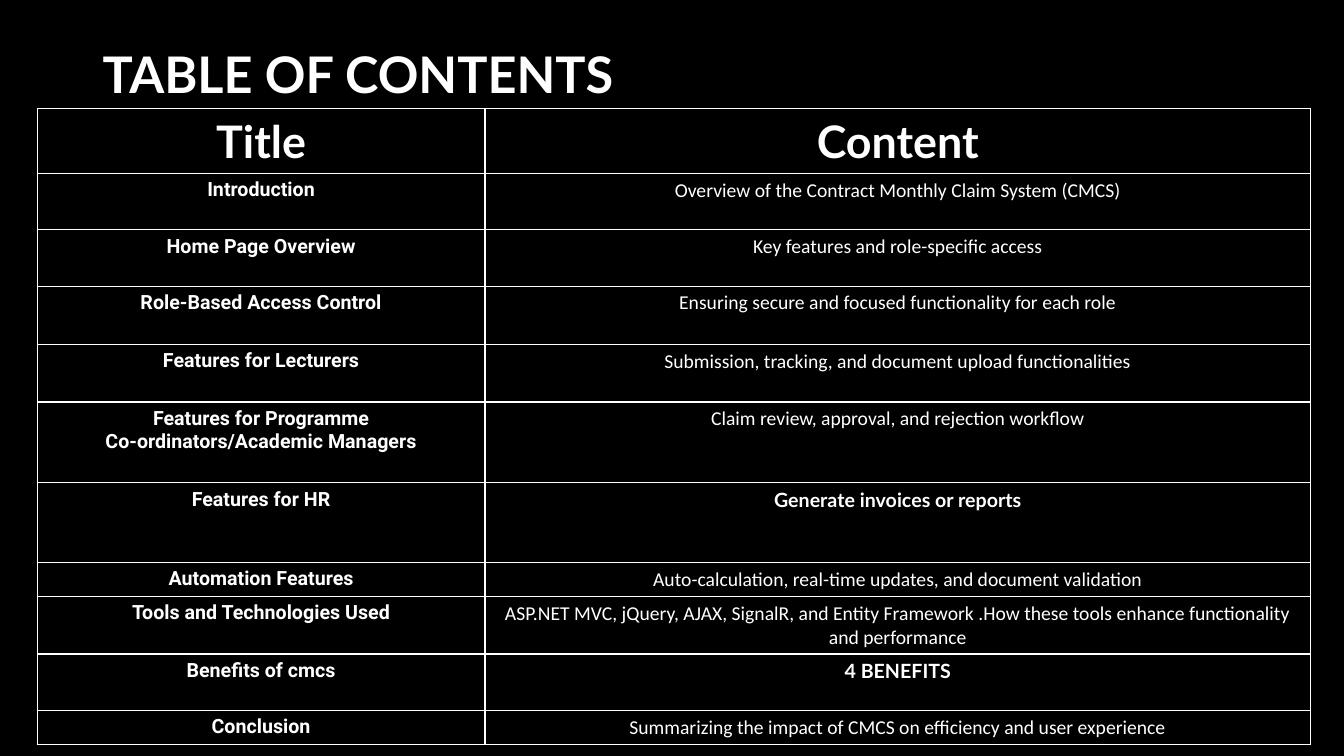
"""Build the table of contents slide for the claim system presentation."""
import pptx
import pptx.dml.color
import pptx.enum.text
import pptx.oxml
import pptx.oxml.ns
import pptx.util
from pptx.util import Inches

HEADING = "TABLE OF CONTENTS"
HEADERS = ("Title", "Content")
ENTRIES = [
    ("Introduction", "Overview of the Contract Monthly Claim System (CMCS)", "Calibri", 0.56),
    ("Home Page Overview", "Key features and role-specific access", "Calibri", 0.56),
    ("Role-Based Access Control", "Ensuring secure and focused functionality for each role", "Calibri", 0.58),
    ("Features for Lecturers", "Submission, tracking, and document upload functionalities", "Calibri", 0.57),
    ("Features for Programme\nCo-ordinators/Academic Managers",
     "Claim review, approval, and rejection workflow", "Calibri", 0.8),
    ("Features for HR", "Generate invoices or reports", "Lato", 0.79),
    ("Automation Features", "Auto-calculation, real-time updates, and document validation", "Calibri", 0.34),
    ("Tools and Technologies Used",
     "ASP.NET MVC, jQuery, AJAX, SignalR, and Entity Framework ."
     "How these tools enhance functionality and performance", "Calibri", 0.57),
    ("Benefits of cmcs", "4 BENEFITS", "Lato", 0.56),
    ("Conclusion", "Summarizing the impact of CMCS on efficiency and user experience", "Calibri", 0.34),
]
COLUMN_WIDTHS = (4.44, 8.19)
HEADER_HEIGHT = 0.64
COLORS = {"background": "000000", "text": "FFFFFF", "border": "FFFFFF"}


def color(name):
    return pptx.dml.color.RGBColor.from_string(COLORS[name])


def write(paragraph, text, font, size, bold):
    for number, line in enumerate(text.split("\n")):
        if number:
            paragraph.add_line_break()
        run = paragraph.add_run()
        run.text = line
        run.font.name = font
        run.font.size = pptx.util.Pt(size)
        run.font.bold = bold
        run.font.color.rgb = color("text")


def add_borders(cell):
    properties = cell._tc.get_or_add_tcPr()
    for index, side in enumerate(("lnL", "lnR", "lnT", "lnB")):
        properties.insert(index, pptx.oxml.parse_xml(
            f'<a:{side} {pptx.oxml.ns.nsdecls("a")} w="12700"><a:solidFill>'
            f'<a:srgbClr val="{COLORS["border"]}"/></a:solidFill></a:{side}>'))


def fill_cell(cell, text, font, size, bold):
    cell.fill.solid()
    cell.fill.fore_color.rgb = color("background")
    add_borders(cell)
    paragraph = cell.text_frame.paragraphs[0]
    paragraph.alignment = pptx.enum.text.PP_ALIGN.CENTER
    write(paragraph, text, font, size, bold)


def add_heading(slide):
    box = slide.shapes.add_textbox(Inches(0.92), 0, Inches(11.5), Inches(1.45))
    frame = box.text_frame
    frame.word_wrap = True
    frame.vertical_anchor = pptx.enum.text.MSO_ANCHOR.MIDDLE
    write(frame.paragraphs[0], HEADING, "Lato", 36, True)


def add_contents(slide):
    heights = [HEADER_HEIGHT] + [entry[3] for entry in ENTRIES]
    table = slide.shapes.add_table(
        len(heights), len(COLUMN_WIDTHS), Inches(0.37), Inches(1.08),
        Inches(sum(COLUMN_WIDTHS)), Inches(sum(heights))).table
    table.horz_banding = False
    for column, width in zip(table.columns, COLUMN_WIDTHS):
        column.width = Inches(width)
    for row, height in zip(table.rows, heights):
        row.height = Inches(height)
    for index, header in enumerate(HEADERS):
        fill_cell(table.cell(0, index), header, "Lato", 32, True)
    for index, (title, content, font, _) in enumerate(ENTRIES, 1):
        fill_cell(table.cell(index, 0), title, "Roboto", 14, True)
        fill_cell(table.cell(index, 1), content, font, 14, font == "Lato")


def main():
    presentation = pptx.Presentation()
    presentation.slide_width = Inches(13.33)
    presentation.slide_height = Inches(7.5)
    slide = presentation.slides.add_slide(presentation.slide_layouts[6])
    slide.background.fill.solid()
    slide.background.fill.fore_color.rgb = color("background")
    add_heading(slide)
    add_contents(slide)
    presentation.save("out.pptx")


if __name__ == "__main__":
    main()
